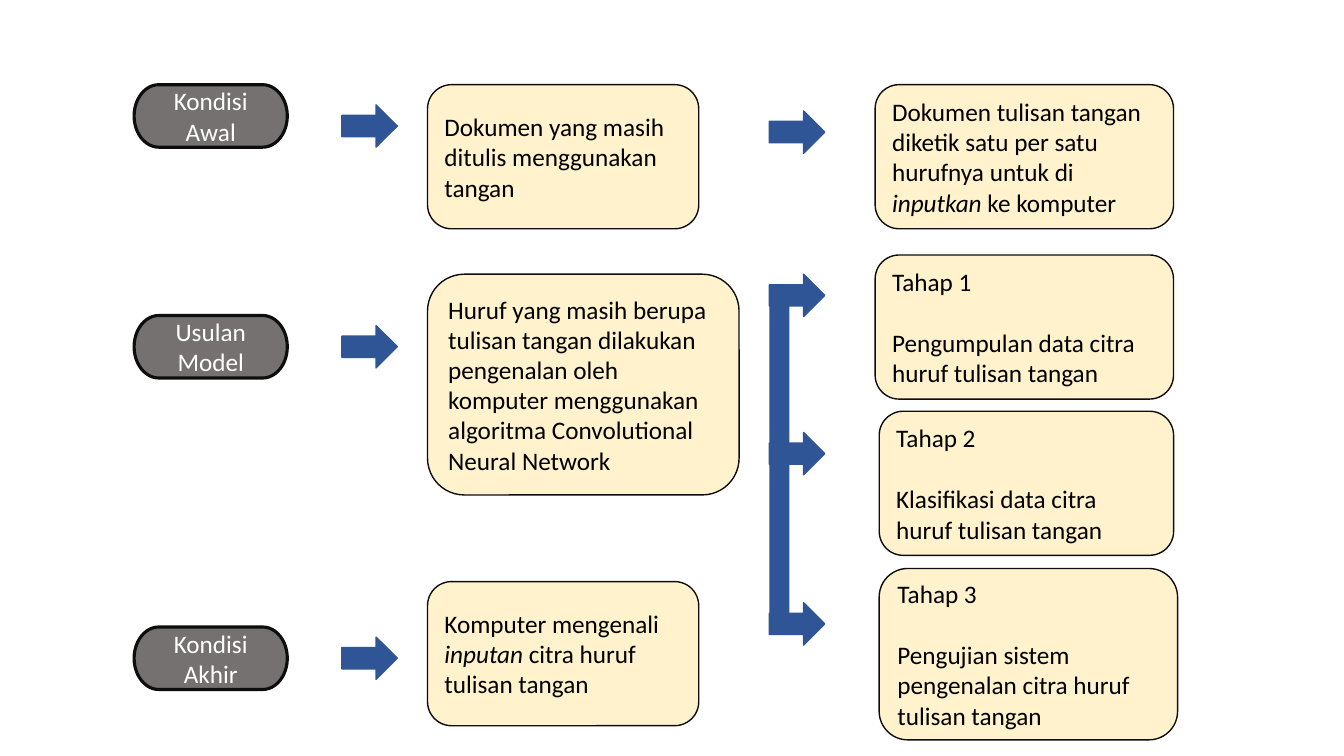
from dataclasses import dataclass

from pptx import Presentation
from pptx.dml.color import RGBColor
from pptx.enum.shapes import MSO_SHAPE
from pptx.enum.text import MSO_ANCHOR, PP_ALIGN
from pptx.util import Inches, Pt

TERMINATOR = MSO_SHAPE.FLOWCHART_TERMINATOR
ROUNDED = MSO_SHAPE.ROUNDED_RECTANGLE
ARROW = MSO_SHAPE.RIGHT_ARROW
BAR = MSO_SHAPE.RECTANGLE
MIDDLE = MSO_ANCHOR.MIDDLE
LEFT, CENTER = PP_ALIGN.LEFT, PP_ALIGN.CENTER


@dataclass(frozen=True)
class Theme:
    font: str = "Calibri"
    text_size: float = 18
    heading_gap: float = 22
    stage_fill: str = "767171"
    stage_text: str = "FFFFFF"
    card_fill: str = "FFF2CC"
    card_text: str = "000000"
    outline: str = "0D0D0D"
    arrow: str = "2F5597"
    stage_line: float = 2.25
    thin_line: float = 1


class FlowSlide:
    def __init__(self, slide, theme):
        self.slide = slide
        self.theme = theme

    def _shape(self, parent, kind, box, fill, line=None, width=0):
        shape = parent.add_shape(kind, *map(Inches, box))
        shape.shadow.inherit = False
        shape.fill.solid()
        shape.fill.fore_color.rgb = RGBColor.from_string(fill)
        if line:
            shape.line.color.rgb = RGBColor.from_string(line)
            shape.line.width = Pt(width)
        else:
            shape.line.fill.background()
        return shape

    def _write(self, shape, paragraphs, color, align):
        """Each paragraph is a list of (text, italic) pieces."""
        frame = shape.text_frame
        frame.word_wrap = True
        frame.vertical_anchor = MIDDLE
        for index, pieces in enumerate(paragraphs):
            paragraph = frame.add_paragraph() if index else frame.paragraphs[0]
            paragraph.alignment = align
            if index:
                paragraph.space_before = Pt(self.theme.heading_gap)
            for text, italic in pieces:
                run = paragraph.add_run()
                run.text = text
                run.font.name = self.theme.font
                run.font.size = Pt(self.theme.text_size)
                run.font.italic = italic
                run.font.color.rgb = RGBColor.from_string(color)

    def stage(self, top, label):
        t = self.theme
        shape = self._shape(self.slide.shapes, TERMINATOR, (1.33, top, 1.52, 0.62),
                            t.stage_fill, t.outline, t.stage_line)
        self._write(shape, [[(label, False)]], t.stage_text, CENTER)

    def card(self, box, *paragraphs):
        """Text between asterisks is set in italics."""
        t = self.theme
        shape = self._shape(self.slide.shapes, ROUNDED, box,
                            t.card_fill, t.outline, t.thin_line)
        pieces = [[(text, i % 2 == 1) for i, text in enumerate(p.split("*"))]
                  for p in paragraphs]
        self._write(shape, pieces, t.card_text, LEFT)

    def arrow(self, left, top, parent=None):
        t = self.theme
        self._shape(parent or self.slide.shapes, ARROW, (left, top, 0.55, 0.42),
                    t.arrow, t.arrow, t.thin_line)

    def branch(self, left, arrow_tops, bar_top, bar_height):
        group = self.slide.shapes.add_group_shape()
        for top in arrow_tops:
            self.arrow(left, top, group.shapes)
        self._shape(group.shapes, BAR, (left, bar_top, 0.2, bar_height), self.theme.arrow)


def main():
    prs = Presentation()
    prs.slide_width, prs.slide_height = Inches(13.33), Inches(7.5)
    flow = FlowSlide(prs.slides.add_slide(prs.slide_layouts[6]), Theme())

    # Stages, each with its arrow
    for top, label in ((0.84, "Kondisi Awal"), (3.13, "Usulan Model"), (6.22, "Kondisi Akhir")):
        flow.stage(top, label)
        flow.arrow(3.39, top + (0.2 if top < 1 else 0.1))

    # Descriptions of the stages
    flow.card((4.24, 0.84, 2.69, 1.43), "Dokumen yang masih ditulis menggunakan tangan")
    flow.card((4.24, 2.72, 3.09, 2.19),
              "Huruf yang masih berupa tulisan tangan dilakukan pengenalan oleh "
              "komputer menggunakan algoritma Convolutional Neural Network")
    flow.card((4.24, 5.77, 2.69, 1.43),
              "Komputer mengenali *inputan* citra huruf tulisan tangan")

    # Outcome of the initial condition
    flow.arrow(7.63, 1.1)
    flow.card((8.68, 0.84, 2.96, 1.43),
              "Dokumen tulisan tangan diketik satu per satu hurufnya untuk di "
              "*inputkan* ke komputer")

    # Steps of the proposed model
    flow.branch(7.63, (2.72, 4.29, 5.98), 2.83, 3.41)
    steps = (
        ((8.68, 2.53, 2.96, 1.43), "Pengumpulan data citra huruf tulisan tangan"),
        ((8.72, 4.08, 2.92, 1.43), "Klasifikasi data citra huruf tulisan tangan"),
        ((8.72, 5.64, 2.96, 1.7), "Pengujian sistem pengenalan citra huruf tulisan tangan"),
    )
    for number, (box, task) in enumerate(steps, 1):
        flow.card(box, f"Tahap {number}", task)

    prs.save("out.pptx")


if __name__ == "__main__":
    main()
